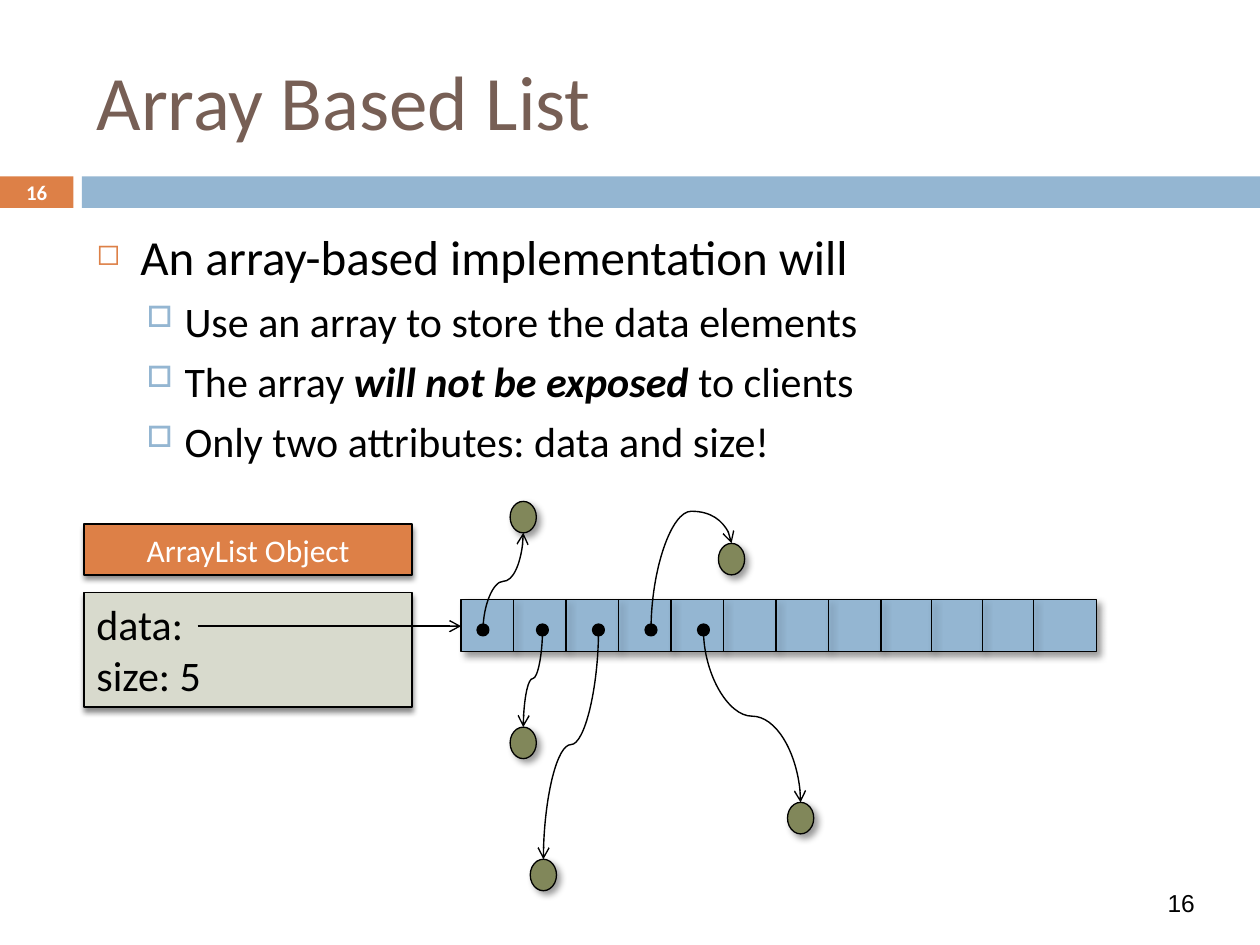
from itertools import accumulate

from lxml.etree import SubElement
from pptx import Presentation
from pptx.dml.color import RGBColor
from pptx.enum.shapes import MSO_CONNECTOR, MSO_SHAPE
from pptx.enum.text import MSO_ANCHOR, PP_ALIGN
from pptx.oxml.ns import qn
from pptx.util import Pt

COLORS = {
    "black": "000000", "white": "FFFFFF", "title": "775F55",
    "orange": "DD8047", "blue": "94B6D2", "beige": "D8DACD", "olive": "81875A",
}
# Shadows: opacity %, blur, distance, direction in degrees
BOX_SHADOW = (45, 3, 2.4, 90)
ARRAY_SHADOW = (40, 4, 3, 45)


def rgb(color):
    return RGBColor.from_string(COLORS[color])


def set_shadow(effects, shadow):
    opacity, blur, distance, direction = shadow
    outer = SubElement(effects, qn("a:outerShdw"), blurRad=str(Pt(blur)), dist=str(Pt(distance)),
                       dir=str(direction * 60000), algn="ctr", rotWithShape="0")
    tint = SubElement(outer, qn("a:srgbClr"), val=COLORS["black"])
    SubElement(tint, qn("a:alpha"), val=str(opacity * 1000))


def add_block(slide, box, fill, line_width=None, shadow=None, kind=MSO_SHAPE.RECTANGLE):
    block = slide.shapes.add_shape(kind, *map(Pt, box))
    block.fill.solid()
    block.fill.fore_color.rgb = rgb(fill)
    if line_width:
        block.line.color.rgb = rgb("black")
        block.line.width = Pt(line_width)
    else:
        block.line.fill.background()
    block.shadow.inherit = False
    if shadow:
        set_shadow(block._element.spPr.find(qn("a:effectLst")), shadow)
    return block


def add_line(slide, start, end, width, kind=MSO_CONNECTOR.STRAIGHT, arrow=False, shadow=None):
    line = slide.shapes.add_connector(kind, *map(Pt, (*start, *end)))
    line.line.color.rgb = rgb("black")
    line.line.width = Pt(width)
    properties = line._element.spPr
    if arrow:
        SubElement(properties.find(qn("a:ln")), qn("a:tailEnd"), type="arrow")
    effects = SubElement(properties, qn("a:effectLst"))
    if shadow:
        set_shadow(effects, shadow)
    return line


def add_vertical_curve(slide, start, end, bend=None):
    """Curved arrow that leaves and arrives vertically: a quarter-turned connector."""
    (x1, y1), (x2, y2) = start, end
    mid_x, mid_y, dx, dy = (x1 + x2) / 2, (y1 + y2) / 2, x2 - x1, y2 - y1
    turn = -1 if dx > 0 and dy > 0 else 1
    half_w, half_h = turn * dy / 2, turn * dx / 2
    curve = add_line(slide, (mid_x - half_w, mid_y + half_h), (mid_x + half_w, mid_y - half_h),
                     0.79, MSO_CONNECTOR.CURVE, arrow=True)
    properties = curve._element.spPr
    properties.find(qn("a:xfrm")).set("rot", str((90 if turn == 1 else 270) * 60000))
    if bend:
        adjustments = properties.find(qn("a:prstGeom")).find(qn("a:avLst"))
        SubElement(adjustments, qn("a:gd"), name="adj1", fmla=f"val {round(bend * 100000)}")


def add_run(paragraph, text, size, color="black", font="Calibri", strong=False):
    run = paragraph.add_run()
    run.text = text
    run.font.size = Pt(size)
    run.font.name = font
    run.font.color.rgb = rgb(color)
    if strong:
        run.font.bold = run.font.italic = True
    return run


def add_text_box(slide, box):
    frame = slide.shapes.add_textbox(*map(Pt, box)).text_frame
    frame.word_wrap = True
    return frame


def set_bullet(paragraph, mark, color, percent, indent, hanging):
    properties = paragraph._p.get_or_add_pPr()
    properties.set("marL", str(Pt(indent)))
    properties.set("indent", str(-Pt(hanging)))
    bullet_color = SubElement(properties, qn("a:buClr"))
    SubElement(bullet_color, qn("a:srgbClr"), val=COLORS[color])
    SubElement(properties, qn("a:buSzPct"), val=str(percent * 1000))
    SubElement(properties, qn("a:buChar"), char=mark)


def add_header(slide, box):
    left, top, width, height = box
    # Band with slide number tab
    add_block(slide, (left, top + 100.8, 42, 18), "orange")
    add_block(slide, (left + 46.8, top + 100.8, width - 46.8, 18), "blue")
    # Title
    title = slide.shapes.title
    title.left, title.top, title.width, title.height = map(Pt, (left + 48, top + 18, 642, 78))
    title.text_frame.vertical_anchor = MSO_ANCHOR.MIDDLE
    heading = title.text_frame.paragraphs[0]
    heading.alignment = PP_ALIGN.LEFT
    add_run(heading, "Array Based List", 44, "title")
    # Slide number in the tab
    tab = add_text_box(slide, (left, top + 100, 42, 19.5))
    tab.vertical_anchor = MSO_ANCHOR.MIDDLE
    tab.paragraphs[0].alignment = PP_ALIGN.CENTER
    add_run(tab.paragraphs[0], "16", 11.9, "white").font.bold = True


def add_bullets(slide, box):
    frame = add_text_box(slide, box)
    lead = frame.paragraphs[0]
    lead.space_before = Pt(7)
    set_bullet(lead, "◻", "orange", 60, 25.2, 25.2)
    add_run(lead, "An array-based implementation will", 28)
    points = [
        [("Use an array to store the data elements", False)],
        [("The array ", False), ("will not be exposed ", True), ("to clients", False)],
        [("Only two attributes: data and size!", False)],
    ]
    for point in points:
        paragraph = frame.add_paragraph()
        paragraph.level = 1
        paragraph.space_before = Pt(5.5)
        set_bullet(paragraph, "□", "blue", 70, 50.4, 21.6)
        for text, strong in point:
            add_run(paragraph, text, 24, strong=strong)


def add_list_object(slide, box):
    left, top, width, height = box
    header = add_block(slide, (left, top, width, 29), "orange", 0.79, BOX_SHADOW)
    fields = add_block(slide, (left, top + 39, width, height - 39), "beige", 0.79, BOX_SHADOW)
    add_run(header.text_frame.paragraphs[0], "ArrayList Object", 18, "white")
    header.text_frame.paragraphs[0].alignment = PP_ALIGN.CENTER
    frame = fields.text_frame
    frame.vertical_anchor = MSO_ANCHOR.TOP
    for paragraph, text in zip((frame.paragraphs[0], frame.add_paragraph()), ("data:", "size: 5")):
        paragraph.alignment = PP_ALIGN.LEFT
        add_run(paragraph, text, 24)


def add_array(slide, box):
    left, top, width, height = box
    add_block(slide, box, "blue", 0.75, ARRAY_SHADOW)
    # Cell dividers
    for offset in accumulate([30] * 8 + [29] * 3):
        add_line(slide, (left + offset, top), (left + offset, top + height), 0.75,
                 shadow=ARRAY_SHADOW)
    # Elements: pointer x, node centre x, node top, arrow end y, bend
    node_w, node_h, dot = 15, 18, 6
    elements = [
        (12.5, 35.5, -56, -56 + node_h, None),
        (46.5, 35.5, 73, 73, None),
        (78.5, 47, 148.5, 148.5, None),
        (108.5, 154.5, -32, -32, 1.37),
        (138.5, 194, 116, 116, None),
    ]
    dot_y = top + 17.5
    for dot_x, node_x, node_top, end_y, bend in elements:
        add_block(slide, (left + node_x - node_w / 2, top + node_top, node_w, node_h),
                  "olive", 0.75, ARRAY_SHADOW, MSO_SHAPE.OVAL)
        add_vertical_curve(slide, (left + dot_x, dot_y), (left + node_x, top + end_y), bend)
        add_block(slide, (left + dot_x - dot / 2, dot_y - dot / 2, dot, dot),
                  "black", 1.5, kind=MSO_SHAPE.OVAL)


def add_page_number(slide, box):
    paragraph = add_text_box(slide, box).paragraphs[0]
    paragraph.alignment = PP_ALIGN.CENTER
    add_run(paragraph, "16", 14, font="Arial")


def main():
    deck = Presentation()
    deck.slide_width, deck.slide_height = Pt(720), Pt(540)
    slide = deck.slides.add_slide(deck.slide_layouts[5])
    add_header(slide, (0, 0, 720, 120))
    add_bullets(slide, (48, 126, 642, 354))
    add_list_object(slide, (48, 299.5, 187.5, 104.5))
    add_array(slide, (263.5, 342.5, 363, 30))
    # Reference from the data field to the array
    add_line(slide, (113, 357.8), (263.5, 357.8), 0.79, arrow=True)
    add_page_number(slide, (648, 504, 54, 24))
    deck.save("out.pptx")


if __name__ == "__main__":
    main()
